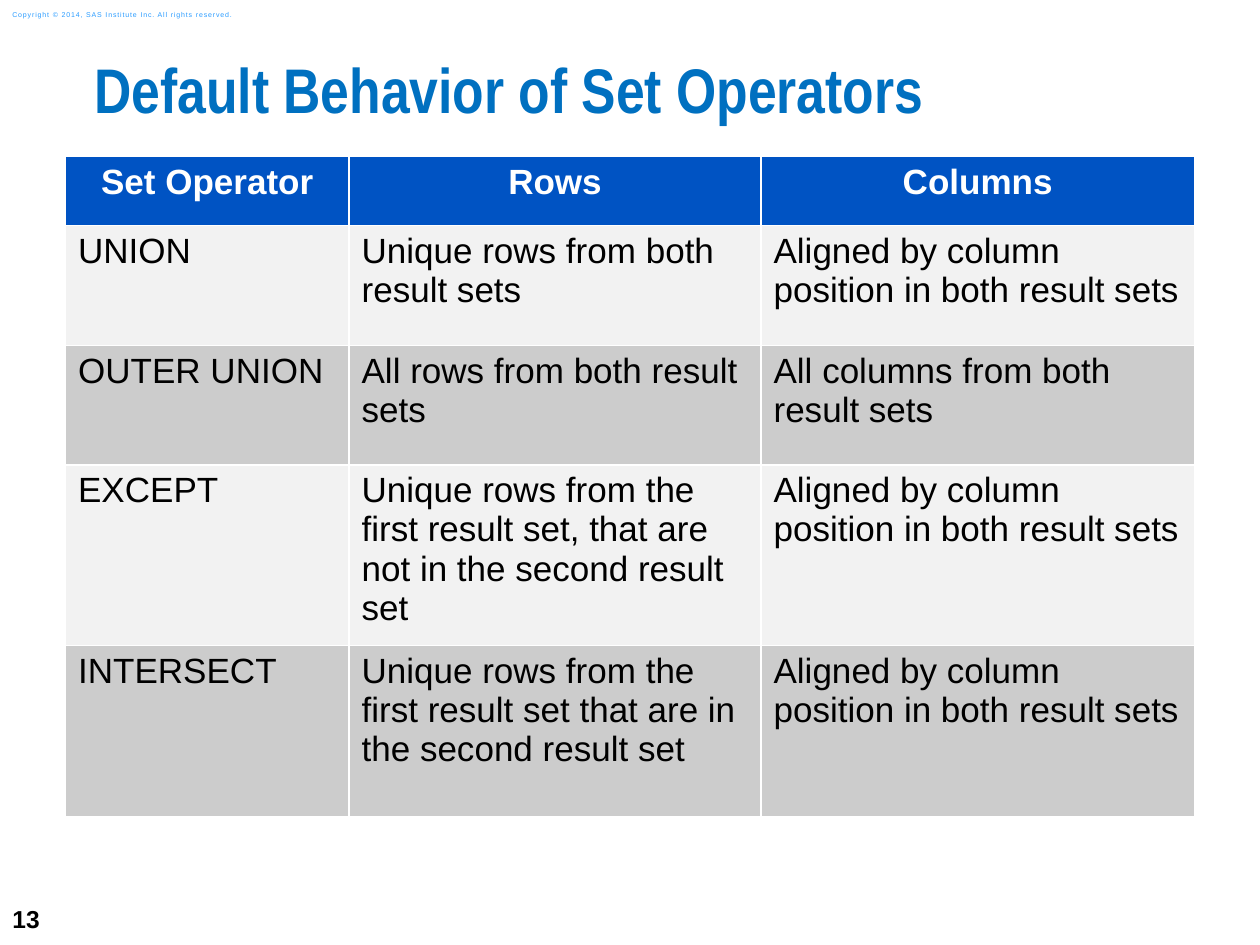
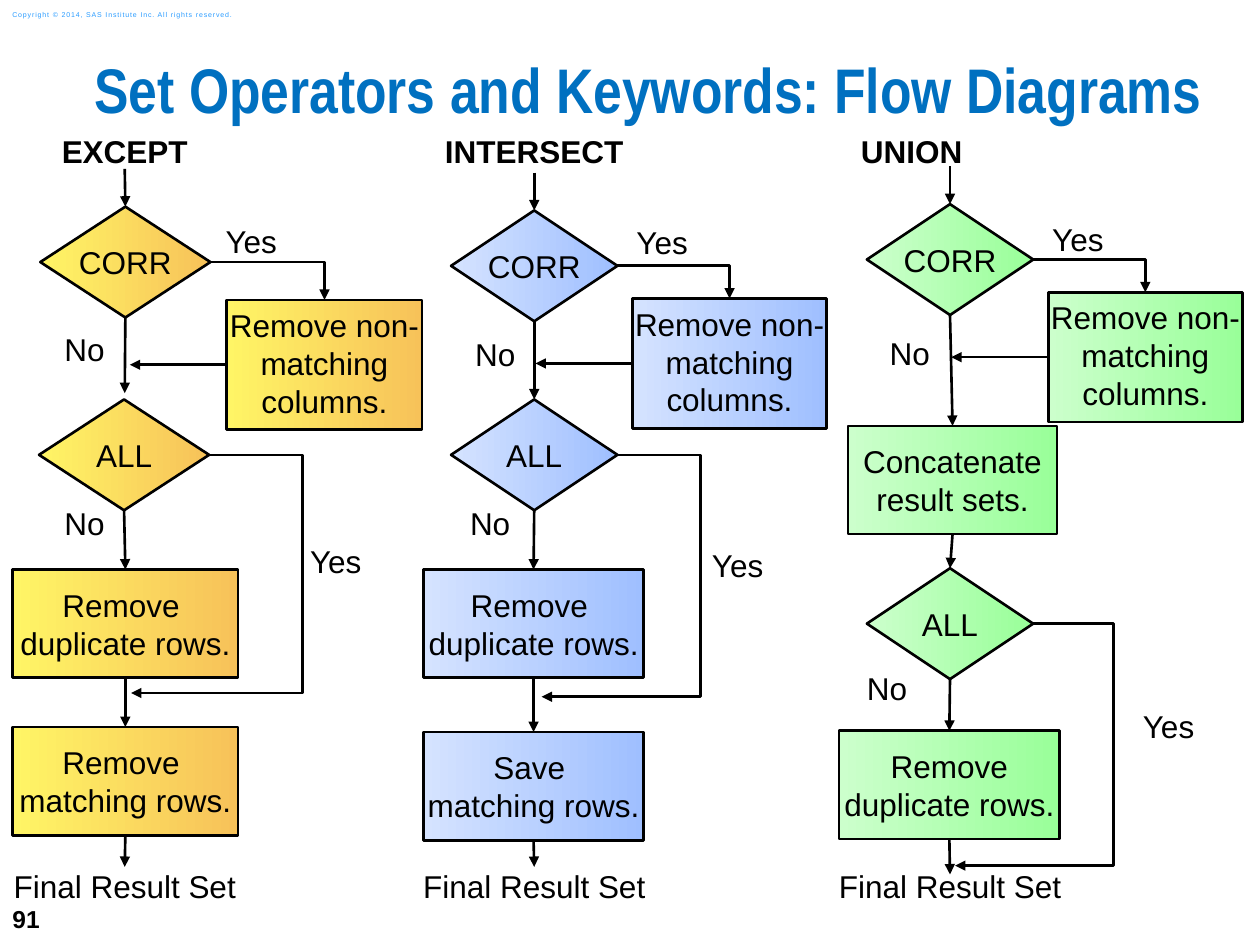
from lxml import etree
from pptx import Presentation
from pptx import util as u
from pptx.dml.color import RGBColor
from pptx.enum import shapes, text
from pptx.oxml.ns import qn

PX = 9144
HUES = {"ink": "000000", "white": "FFFFFF", "title": "0070C0", "note": "2A9CFF",
        "head": "0053C3", "light": "F2F2F2", "dark": "CCCCCC"}
BLENDS = {"gold": ("FFF566", "F7C259"), "blue": ("D5E3FF", "9FBFFF"),
          "green": ("CCFFCC", "99FF99")}
NOTE = "Copyright © 2014, SAS Institute Inc. All rights reserved."
ALIGNED = "Aligned by column position in both result sets"
TABLE = {
    "at": (52, 124), "cols": (225, 327, 344), "rows": (55, 95, 95, 136, 136),
    "cells": [
        ("Set Operator", "Rows", "Columns"),
        ("UNION", "Unique rows from both result sets", ALIGNED),
        ("OUTER UNION", "All rows from both result sets",
         "All columns from both result sets"),
        ("EXCEPT", "Unique rows from the first result set, that are not in the "
         "second result set", ALIGNED),
        ("INTERSECT", "Unique rows from the first result set that are in the "
         "second result set", ALIGNED),
    ],
}
SIDE = "Remove non-matching\ncolumns."
FINAL = "Final Result Set"
TALL = {"ask": 88, "do": 86}
SIZES = {"No": (52, 40), "Yes": (63, 40), "Skip": (43, 30)}

FLOWS = [
    {"head": ("EXCEPT", 49, 100), "axis": 99, "blend": "gold",
     "steps": [("ask", "CORR", 32, 164, 135), ("ask", "ALL", 31, 317, 135),
               ("do", "Remove \nduplicate rows.", 10, 452, 179),
               ("do", "Remove \nmatching rows.", 10, 577, 179)],
     "side": (180, 238, 155), "tip": 103, "end": 10,
     "drops": [(134, 163), (254, 312), (405, 450), (537, 576), (664, 688)],
     "loop": (240, 550, 104),
     "marks": [("No", 41, 257), ("Yes", 168, 171), ("No", 41, 395),
               ("Skip", 245, 430)]},
    {"head": ("INTERSECT", 353, 142), "axis": 424, "blend": "blue",
     "steps": [("ask", "CORR", 358, 167, 132), ("ask", "ALL", 358, 317, 132),
               ("do", "Remove \nduplicate rows.", 336, 452, 175),
               ("do", "Save \nmatching rows.", 336, 581, 175)],
     "side": (502, 237, 154), "tip": 425, "end": 335,
     "drops": [(137, 167), (256, 317), (405, 452), (539, 581), (667, 688)],
     "loop": (556, 553, 430),
     "marks": [("No", 367, 261), ("Yes", 494, 172), ("No", 363, 395),
               ("Skip", 564, 433)]},
    {"head": ("UNION", 683, 81), "axis": 754, "blend": "green",
     "steps": [("ask", "CORR", 688, 162, 132),
               ("do", "Concatenate\nresult sets.", 673, 338, 166),
               ("ask", "ALL", 688, 451, 132),
               ("do", "Remove\nduplicate rows.", 666, 580, 175)],
     "side": (832, 232, 154), "tip": 755, "end": 665,
     "drops": [(132, 162), (251, 336), (423, 452), (538, 580), (667, 694)],
     "loop": (884, 687, 758),
     "marks": [("No", 696, 260), ("Yes", 824, 170), ("No", 678, 526),
               ("Skip", 906, 561)]},
]


def rgb(name):
    return RGBColor.from_string(HUES.get(name, name))


def emu(*nums):
    return [round(n * PX) for n in nums]


def write(frame, words, size=18, font="Arial", hue="ink", bold=False, mid=True,
          pad=(10, 5), wrap=False, anchor="TOP", lead=None, track=None, grow=False):
    frame.word_wrap = wrap
    frame.auto_size = getattr(text.MSO_AUTO_SIZE, "SHAPE_TO_FIT_TEXT" if grow else "NONE")
    frame.vertical_anchor = getattr(text.MSO_ANCHOR, anchor)
    frame.margin_left = frame.margin_right = pad[0] * PX
    frame.margin_top = frame.margin_bottom = pad[1] * PX
    para = frame.paragraphs[0]
    para.text = words
    para.alignment = text.PP_ALIGN.CENTER if mid else text.PP_ALIGN.LEFT
    if lead:
        para.line_spacing = lead
    for run in para.runs:
        run.font.size, run.font.name, run.font.bold = u.Pt(size), font, bold
        run.font.color.rgb = rgb(hue)
        if track:
            run.font._element.set("spc", str(track))


def label(slide, words, box, **style):
    write(slide.shapes.add_textbox(*emu(*box)).text_frame, words, **style)


def start(deck, title, page, wide):
    slide = deck.slides.add_slide(deck.slide_layouts[6])
    label(slide, page, (0, 708, 58, 42), size=14, bold=True, mid=False, anchor="MIDDLE")
    label(slide, NOTE, (0, 3, 211, 17), size=4, hue="note", mid=False,
          anchor="MIDDLE", wrap=True, track=50, grow=True)
    label(slide, title, (75, 50, wide, 74), size=36, font="Arial Narrow", hue="title",
          bold=True, mid=False, pad=(0, 0), wrap=True, lead=0.83)
    return slide


def edge(cell):
    props = cell._tc.get_or_add_tcPr()
    for side in ("lnL", "lnR", "lnT", "lnB"):
        line = etree.SubElement(props, qn(f"a:{side}"), w=str(u.Pt(1)))
        fill = etree.SubElement(line, qn("a:solidFill"))
        etree.SubElement(fill, qn("a:srgbClr"), val=HUES["white"])


def grid(slide, spec):
    cols, rows = spec["cols"], spec["rows"]
    box = emu(*spec["at"], sum(cols), sum(rows))
    table = slide.shapes.add_table(len(rows), len(cols), *box).table
    table.first_row = table.horz_banding = False
    for part, sizes in ((table.columns, cols), (table.rows, rows)):
        for item, size in zip(part, sizes):
            if part is table.columns:
                item.width = size * PX
            else:
                item.height = size * PX
    for r, row in enumerate(spec["cells"]):
        top = r == 0
        for c, words in enumerate(row):
            cell = table.cell(r, c)
            edge(cell)
            cell.fill.solid()
            cell.fill.fore_color.rgb = rgb("head" if top else ("dark", "light")[r % 2])
            para = cell.text_frame.paragraphs[0]
            para.text = words
            para.alignment = text.PP_ALIGN.CENTER if top else text.PP_ALIGN.LEFT
            font = para.runs[0].font
            font.size, font.name, font.bold = u.Pt(20), "Arial", top
            font.color.rgb = rgb("white" if top else "ink")


def node(slide, kind, words, box, blend, **style):
    form = shapes.MSO_SHAPE.FLOWCHART_DECISION if kind == "ask" else shapes.MSO_SHAPE.RECTANGLE
    shape = slide.shapes.add_shape(form, *emu(*box))
    shape.shadow.inherit = False
    shape.fill.gradient()
    shape.fill.gradient_angle = 0
    for stop, hue in zip(shape.fill.gradient_stops, BLENDS[blend]):
        stop.color.rgb = rgb(hue)
    shape.line.color.rgb = rgb("ink")
    shape.line.width = u.Pt(1.5)
    write(shape.text_frame, words, **style)
    return shape


def port(shape, side):
    x, y, w, h = shape.left, shape.top, shape.width, shape.height
    spots = ((x + w / 2, y), (x, y + h / 2), (x + w / 2, y + h), (x + w, y + h / 2))
    return [n / PX for n in spots[side]]


def wire(slide, a, b, form="line", bend=None):
    kind = shapes.MSO_CONNECTOR.STRAIGHT if form == "line" else shapes.MSO_CONNECTOR.ELBOW
    link = slide.shapes.add_connector(kind, *emu(*a, *b))
    link.line.color.rgb = rgb("ink")
    link.line.width = u.Pt(1.5)
    props = link._element.spPr
    etree.SubElement(props.find(qn("a:ln")), qn("a:tailEnd"), type="triangle")
    etree.SubElement(props, qn("a:effectLst"))
    geom = props.find(qn("a:prstGeom"))
    geom.set("prst", form)
    if bend is not None:
        guides = geom.find(qn("a:avLst"))
        if guides is None:
            guides = etree.SubElement(geom, qn("a:avLst"))
        etree.SubElement(guides, qn("a:gd"), name="adj1", fmla=f"val {round(bend * 100000)}")
    return link


def near(nodes, spot, side):
    for shape in nodes:
        x, y = port(shape, side)
        if abs(x - spot[0]) <= 2 and abs(y - spot[1]) <= 2:
            return shape


def drop(slide, nodes, axis, top, end):
    link = wire(slide, (axis, top), (axis, end))
    above = near(nodes, (axis, top), 2)
    below = near(nodes, (axis, end), 0)
    if above is not None:
        link.begin_connect(above, 2)
    if below is not None:
        link.end_connect(below, 0)


def chart(slide, flow):
    blend, axis = flow["blend"], flow["axis"]
    name, left, wide = flow["head"]
    label(slide, name, (left, 105, wide, 30), bold=True, pad=(0, 0), grow=True)
    nodes = {}
    for kind, words, x, y, w in flow["steps"]:
        pad = (0, 0) if kind == "ask" else (10, 5)
        nodes[words] = node(slide, kind, words, (x, y, w, TALL[kind]), blend,
                            anchor="MIDDLE", pad=pad)
    x, y, w = flow["side"]
    side = node(slide, "do", SIDE, (x, y, w, 103), blend, pad=(0, 5), wrap=True, grow=True)
    label(slide, FINAL, (flow["end"], 688, 178, 30), pad=(0, 0), grow=True)
    for word, x, y in flow["marks"]:
        skip = word == "Skip"
        label(slide, "Yes" if skip else word, (x, y, *SIZES[word]),
              pad=(0, 0) if skip else (10, 5), grow=True)

    for top, end in flow["drops"]:
        drop(slide, nodes.values(), axis, top, end)
    ask = nodes["CORR"]
    turn = wire(slide, port(ask, 3), port(side, 0), "bentConnector2")
    turn.begin_connect(ask, 3)
    turn.end_connect(side, 0)
    out = port(side, 1)
    wire(slide, out, (flow["tip"], out[1])).begin_connect(side, 1)
    via, y, tip = flow["loop"]
    out = port(nodes["ALL"], 3)
    wire(slide, out, (tip, y), "bentConnector3", (via - out[0]) / (tip - out[0]))


def main():
    deck = Presentation()
    deck.slide_width, deck.slide_height = emu(1000, 750)
    grid(start(deck, "Default Behavior of Set Operators", "13", 925), TABLE)
    slide = start(deck, "Set Operators and Keywords: Flow Diagrams", "91", 908)
    for flow in FLOWS:
        chart(slide, flow)
    deck.save("out.pptx")


if __name__ == "__main__":
    main()
